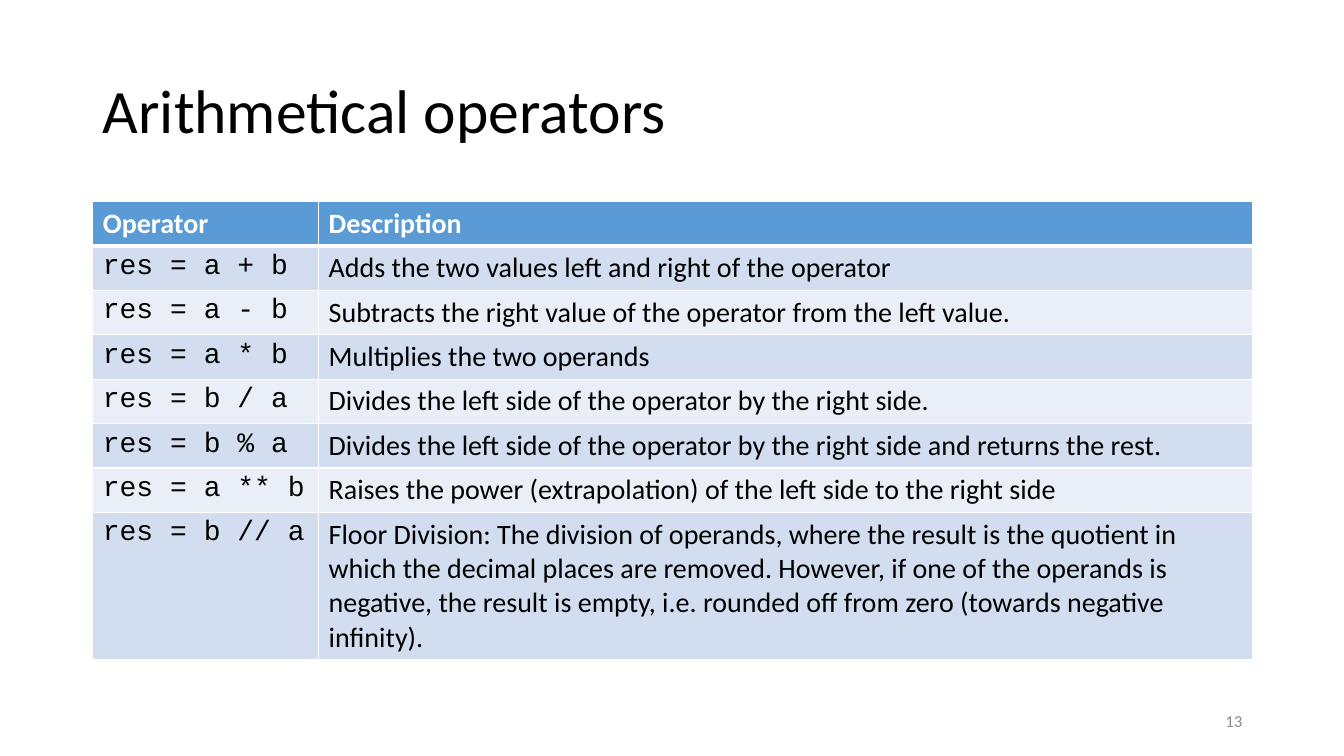
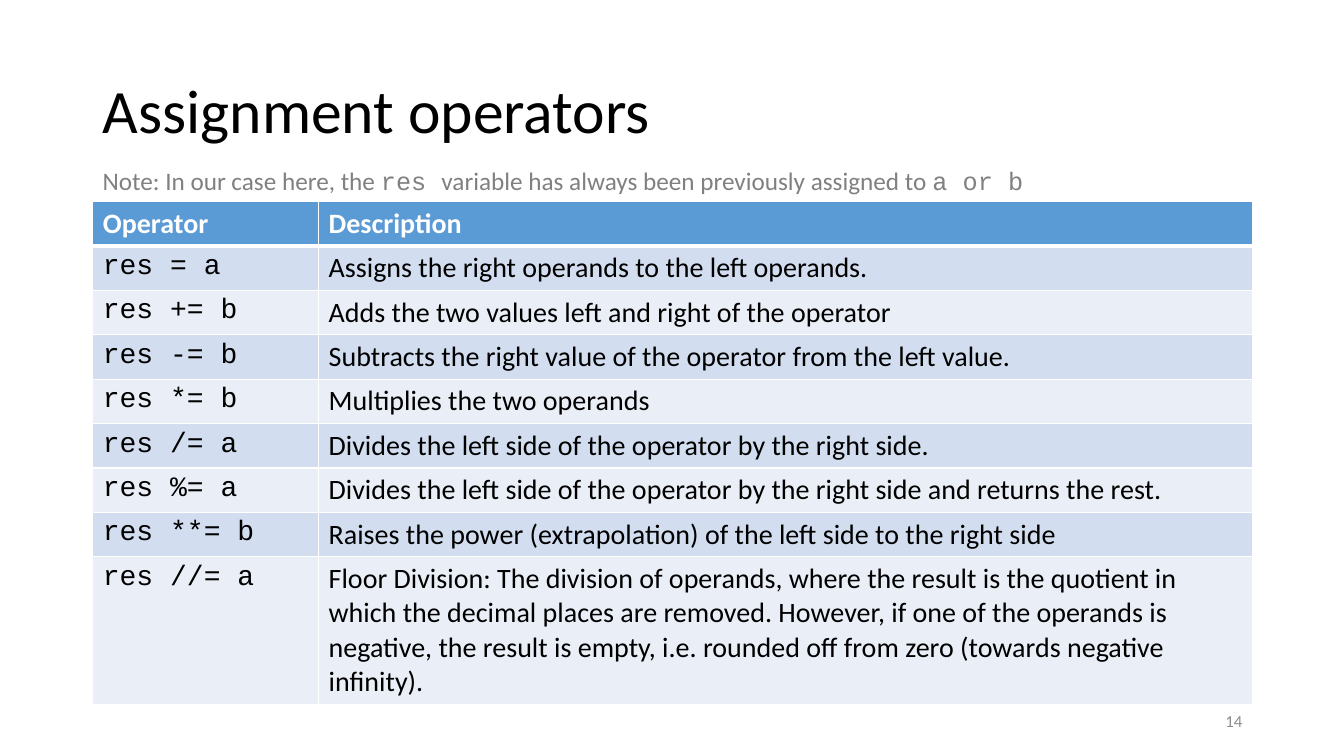
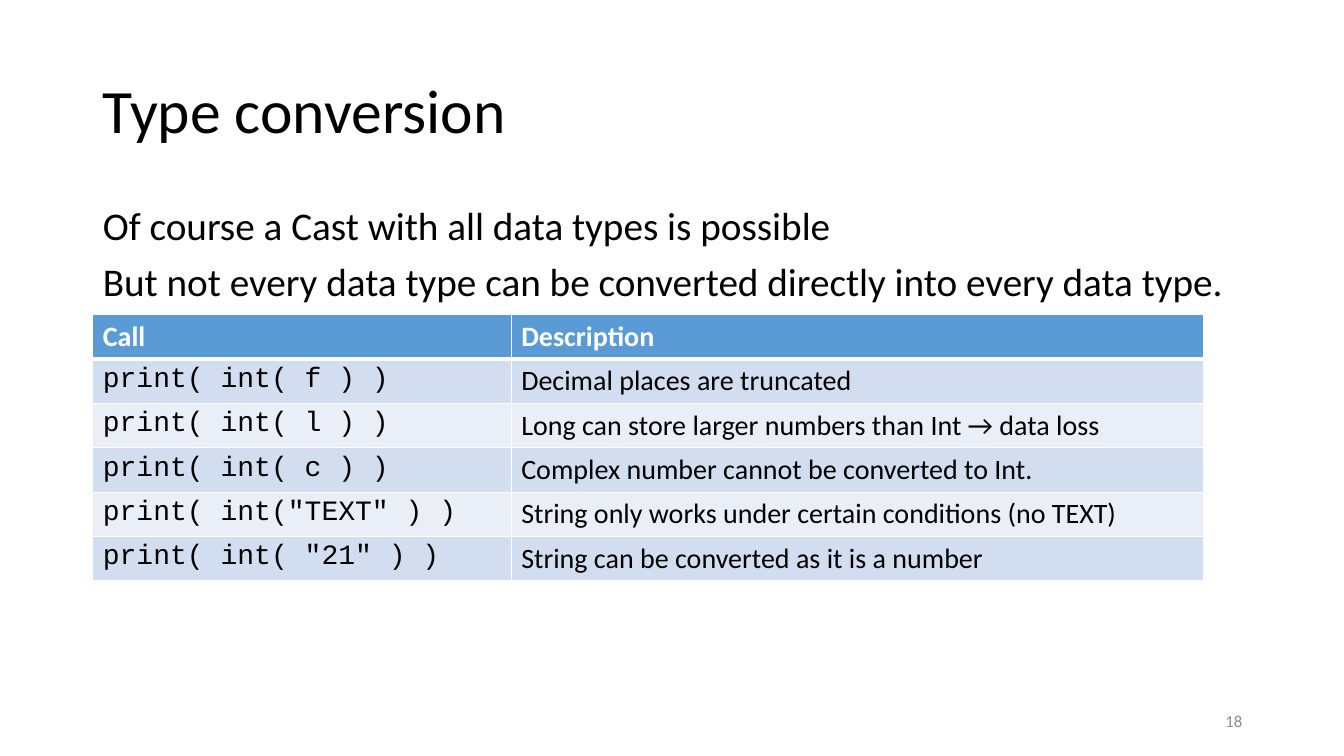
from dataclasses import dataclass

from lxml.etree import SubElement
from pptx import Presentation
from pptx.dml.color import RGBColor
from pptx.enum.text import MSO_ANCHOR as Anchor, MSO_AUTO_SIZE as AutoSize, PP_ALIGN as Align
from pptx.oxml import parse_xml
from pptx.oxml.ns import nsdecls, qn
from pptx.util import Inches, Pt

COLOURS = {
    "text": "000000", "white": "FFFFFF", "header": "5B9BD5",
    "odd": "D2DEEF", "even": "EAEFF7", "note": "808080", "number": "8C8C8C",
}
SANS, MONO = "Calibri", "Courier New"
LEFT, WIDTH = 0.92, 11.5
ROW_HEIGHT = 0.41
TITLE_ONLY, TITLE_AND_BODY = 5, 1

ARITHMETIC_TEXTS = (
    "Adds the two values left and right of the operator",
    "Subtracts the right value of the operator from the left value.",
    "Multiplies the two operands",
    "Divides the left side of the operator by the right side.",
    "Divides the left side of the operator by the right side and returns the rest.",
    "Raises the power (extrapolation) of the left side to the right side",
    "Floor Division: The division of operands, where the result is the quotient in which "
    "the decimal places are removed. However, if one of the operands is negative, the result "
    "is empty, i.e. rounded off from zero (towards negative infinity).",
)


@dataclass(frozen=True)
class Grid:
    top: float
    height: float
    columns: tuple[float, float]
    heading: str
    rows: tuple[tuple[str, str], ...]


@dataclass(frozen=True)
class Topic:
    title: str
    number: int
    grid: Grid
    body: tuple[str, ...] = ()
    note: tuple[tuple[str, str], ...] = ()


def operator_grid(height: float, rows) -> Grid:
    return Grid(2, height, (2.24, 9.26), "Operator", tuple(rows))


TOPICS = (
    Topic("Arithmetical operators", 13, operator_grid(4.47, zip(
        ("res = a + b", "res = a - b", "res = a * b", "res = b / a",
         "res = b % a", "res = a ** b", "res = b // a"),
        ARITHMETIC_TEXTS))),
    Topic("Assignment operators", 14, operator_grid(4.9, zip(
        ("res = a", "res += b", "res -= b", "res *= b", "res /= a",
         "res %= a", "res **= b", "res //= a"),
        ("Assigns the right operands to the left operands.", *ARITHMETIC_TEXTS))),
        note=(("Note: In our case here, the ", SANS), ("res ", MONO),
              ("variable has always been previously assigned to ", SANS), ("a or b", MONO))),
    Topic("Type conversion", 18, Grid(3.12, 2.6, (4.15, 6.87), "Call", (
        ("print( int( f ) )", "Decimal places are truncated"),
        ("print( int( l ) )", "Long can store larger numbers than Int → data loss"),
        ("print( int( c ) )", "Complex number cannot be converted to Int."),
        ('print( int("TEXT" ) )', "String only works under certain conditions (no TEXT)"),
        ('print( int( "21" ) )', "String can be converted as it is a number"))),
        body=("Of course a Cast with all data types is possible",
              "But not every data type can be converted directly into every data type.")),
)


def place(shape, left: float, top: float, width: float, height: float) -> None:
    shape.left, shape.top = Inches(left), Inches(top)
    shape.width, shape.height = Inches(width), Inches(height)


def add_span(para, text: str, size: float, colour: str = "text",
             font: str = SANS, bold: bool = False) -> None:
    span = para.add_run()
    span.text = text
    span.font.name, span.font.size, span.font.bold = font, Pt(size), bold
    span.font.color.rgb = RGBColor.from_string(COLOURS[colour])


def add_title(page, text: str) -> None:
    title = page.shapes.title
    place(title, LEFT, 0.4, WIDTH, 1.45)
    title.text_frame.auto_size = AutoSize.NONE
    title.text_frame.vertical_anchor = Anchor.MIDDLE
    para = title.text_frame.paragraphs[0]
    para.alignment, para.line_spacing = Align.LEFT, 0.9
    add_span(para, text, 44)


def add_body(page, lines: tuple[str, ...]) -> None:
    body = page.placeholders[1]
    place(body, LEFT, 2, WIDTH, 4.76)
    frame = body.text_frame
    frame.auto_size = AutoSize.NONE
    for index, line in enumerate(lines):
        para = frame.add_paragraph() if index else frame.paragraphs[0]
        para.line_spacing, para.space_before = 0.9, Pt(10)
        properties = para._p.get_or_add_pPr()
        properties.set("marL", "0")
        properties.set("indent", "0")
        SubElement(properties, qn("a:buNone"))
        add_span(para, line, 28)


def add_box(page, left: float, top: float, width: float):
    """Add a one-line text box and return its text frame."""
    frame = page.shapes.add_textbox(
        Inches(left), Inches(top), Inches(width), Inches(0.4)).text_frame
    frame.word_wrap = True
    return frame


def set_borders(cell, top: float, bottom: float) -> None:
    properties = cell._tc.get_or_add_tcPr()
    for index, (side, width) in enumerate((("L", 1), ("R", 1), ("T", top), ("B", bottom))):
        properties.insert(index, parse_xml(
            f'<a:ln{side} {nsdecls("a")} w="{Pt(width)}"><a:solidFill>'
            f'<a:srgbClr val="{COLOURS["white"]}"/></a:solidFill></a:ln{side}>'))


def add_grid(page, grid: Grid) -> None:
    rows = ((grid.heading, "Description"), *grid.rows)
    frame = page.shapes.add_table(
        len(rows), 2, Inches(LEFT), Inches(grid.top),
        Inches(sum(grid.columns)), Inches(grid.height))
    table = frame.table
    for column, width in zip(table.columns, grid.columns):
        column.width = Inches(width)
    for row_index, texts in enumerate(rows):
        table.rows[row_index].height = Inches(ROW_HEIGHT)
        header = row_index == 0
        fill = "header" if header else "odd" if row_index % 2 else "even"
        for column_index, text in enumerate(texts):
            cell = table.cell(row_index, column_index)
            cell.fill.solid()
            cell.fill.fore_color.rgb = RGBColor.from_string(COLOURS[fill])
            set_borders(cell, top=3 if row_index == 1 else 1, bottom=3 if header else 1)
            font = MONO if column_index == 0 and not header else SANS
            add_span(cell.text_frame.paragraphs[0], text, 20,
                     "white" if header else "text", font, header)
    frame.height = Inches(grid.height)


def add_note(page, spans: tuple[tuple[str, str], ...]) -> None:
    frame = add_box(page, LEFT, 1.59, WIDTH)
    frame.auto_size = AutoSize.SHAPE_TO_FIT_TEXT
    for text, font in spans:
        add_span(frame.paragraphs[0], text, 18, "note", font)


def add_number(page, number: int) -> None:
    frame = add_box(page, 9.42, 6.95, 3)
    frame.vertical_anchor = Anchor.MIDDLE
    frame.paragraphs[0].alignment = Align.RIGHT
    add_span(frame.paragraphs[0], str(number), 12, "number")


def add_page(deck, topic: Topic) -> None:
    layout = TITLE_AND_BODY if topic.body else TITLE_ONLY
    page = deck.slides.add_slide(deck.slide_layouts[layout])
    add_title(page, topic.title)
    if topic.body:
        add_body(page, topic.body)
    add_grid(page, topic.grid)
    if topic.note:
        add_note(page, topic.note)
    add_number(page, topic.number)


def main() -> None:
    deck = Presentation()
    deck.slide_width, deck.slide_height = Inches(13.33), Inches(7.5)
    for topic in TOPICS:
        add_page(deck, topic)
    deck.save("out.pptx")


if __name__ == "__main__":
    main()
